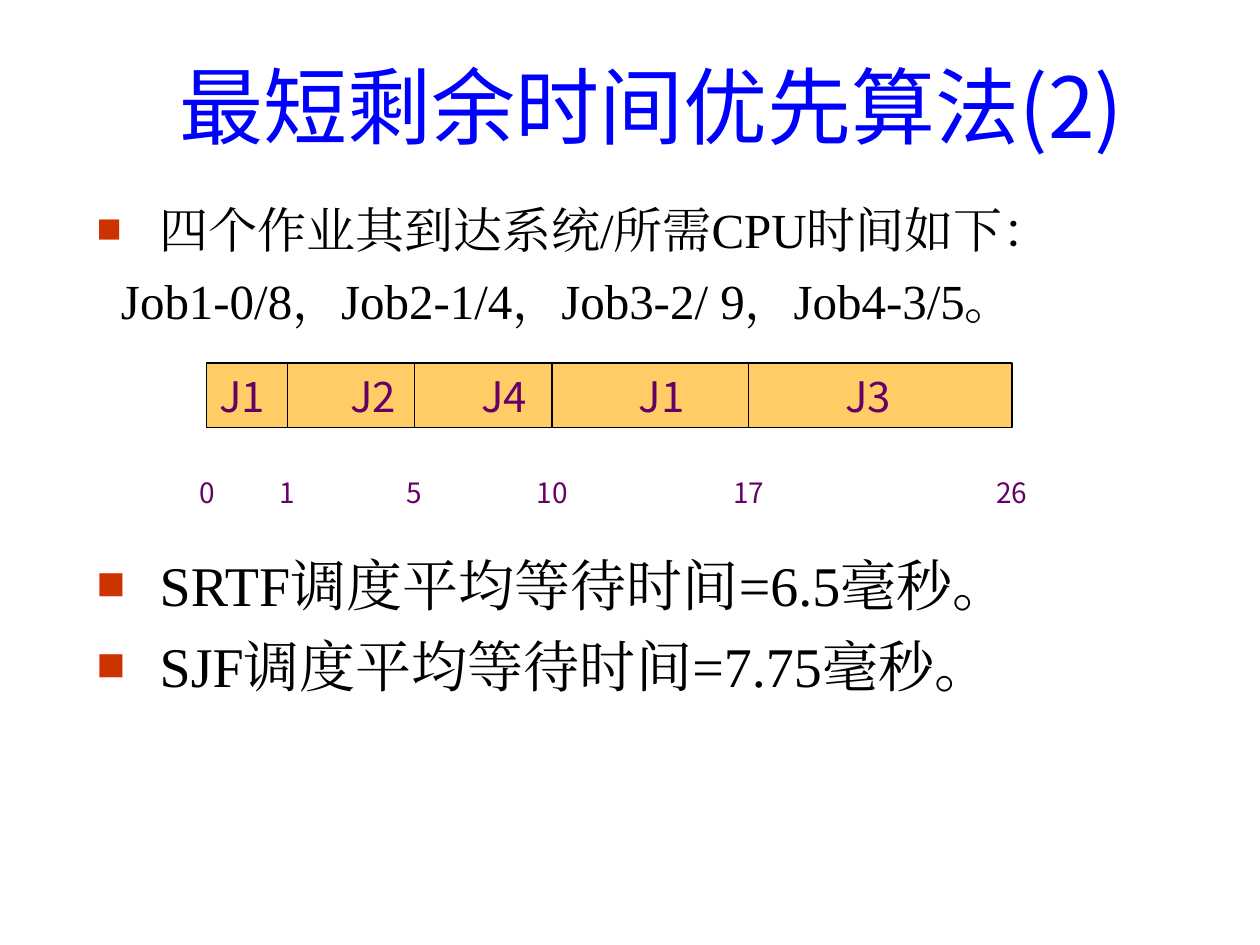
from lxml import etree
from pptx import Presentation
from pptx.dml.color import RGBColor
from pptx.enum.shapes import MSO_CONNECTOR, MSO_SHAPE
from pptx.enum.text import MSO_ANCHOR, PP_ALIGN
from pptx.oxml.ns import qn
from pptx.util import Cm, Pt

STRAIGHT = MSO_CONNECTOR.STRAIGHT
RECT = MSO_SHAPE.RECTANGLE
MIDDLE = MSO_ANCHOR.MIDDLE
LEFT, CENTER, JUSTIFY = PP_ALIGN.LEFT, PP_ALIGN.CENTER, PP_ALIGN.JUSTIFY

TITLE = "最短剩余时间优先算法(2)"
BODY = [
    ("四个作业其到达系统/所需CPU时间如下：", 28, 0, True),
    ("Job1-0/8，Job2-1/4，Job3-2/ 9，Job4-3/5。", 28, 7, False),
    ("SRTF调度平均等待时间=6.5毫秒。", 32, 126, True),
    ("SJF调度平均等待时间=7.75毫秒。", 32, 8, True),
]
JOBS = ["J1", "J2", "J4", "J1", "J3"]
JOB_TABS = [2.64, 5.28, 8.46, 12.62]
TIMES = [("0", 4.17), ("1", 5.79), ("5", 8.36), ("10", 11.13), ("17", 15.09), ("26", 20.4)]
BAR_TOP, BAR_H = 7.32, 1.3
TIME_TOP, TIME_W, TIME_H = 9.45, 1.2, 0.94

SANS, SERIF = "Noto Sans CJK JP", "Times New Roman"
COLORS = {"title": "0000FF", "text": "000000", "bullet": "CC3300",
          "bar": "FFCC66", "line": "000000", "label": "660066"}


def rgb(name):
    return RGBColor.from_string(COLORS[name])


def format_text(p, size, font, color, align):
    p.alignment = align
    for r in p.runs:
        r.font.size = Pt(size)
        r.font.name = font
        r.font.color.rgb = rgb(color)
        etree.SubElement(r.font._element, qn("a:ea"), typeface=font)


def set_indent(p, bullet):
    pPr = p._p.get_or_add_pPr()
    pPr.set("marL", str(Cm(1.27 if bullet else 0.49)))
    pPr.set("indent", str(Cm(-1.27 if bullet else 0)))
    if bullet:
        clr = etree.SubElement(pPr, qn("a:buClr"))
        etree.SubElement(clr, qn("a:srgbClr"), val=COLORS["bullet"])
        etree.SubElement(pPr, qn("a:buSzPct"), val="85000")
        etree.SubElement(pPr, qn("a:buFont"), typeface=SERIF)
        etree.SubElement(pPr, qn("a:buChar"), char="■")


def add_title(s):
    sp = s.shapes.title
    sp.left, sp.top, sp.width, sp.height = Cm(2.34), Cm(0.53), Cm(21.59), Cm(3.18)
    tf = sp.text_frame
    tf.text = TITLE
    tf.vertical_anchor = MIDDLE
    format_text(tf.paragraphs[0], 48, SANS, "title", CENTER)


def add_body(s):
    tf = s.shapes.add_textbox(Cm(1.7), Cm(3.9), Cm(22.23), Cm(13.13)).text_frame
    tf.word_wrap = True
    for i, (text, size, before, bullet) in enumerate(BODY):
        p = tf.add_paragraph() if i else tf.paragraphs[0]
        p.text = text
        format_text(p, size, SERIF, "text", JUSTIFY)
        p.space_before = Pt(before)
        set_indent(p, bullet)


def add_bar(s):
    start, end = TIMES[0][1], TIMES[-1][1]
    sp = s.shapes.add_shape(RECT, Cm(start), Cm(BAR_TOP), Cm(end - start), Cm(BAR_H))
    sp.shadow.inherit = False
    sp.fill.solid()
    sp.fill.fore_color.rgb = rgb("bar")
    sp.line.color.rgb = rgb("line")
    sp.line.width = Pt(0.75)
    tf = sp.text_frame
    tf.margin_top = tf.margin_bottom = 0
    tf.vertical_anchor = MIDDLE
    p = tf.paragraphs[0]
    p.text = "\t".join(JOBS)
    format_text(p, 24, SANS, "label", LEFT)
    tabs = etree.SubElement(p._p.get_or_add_pPr(), qn("a:tabLst"))
    for pos in JOB_TABS:
        etree.SubElement(tabs, qn("a:tab"), pos=str(Cm(pos)), algn="l")


def add_divider(s, x):
    line = s.shapes.add_connector(STRAIGHT, Cm(x), Cm(BAR_TOP), Cm(x), Cm(BAR_TOP + BAR_H))
    line.line.color.rgb = rgb("line")
    line.line.width = Pt(0.75)
    etree.SubElement(line._element.spPr, qn("a:effectLst"))


def add_time(s, text, x):
    tf = s.shapes.add_textbox(Cm(x - TIME_W / 2), Cm(TIME_TOP), Cm(TIME_W), Cm(TIME_H)).text_frame
    tf.margin_left = tf.margin_right = tf.margin_top = tf.margin_bottom = 0
    tf.vertical_anchor = MIDDLE
    tf.text = text
    format_text(tf.paragraphs[0], 16, SANS, "label", CENTER)


def main():
    prs = Presentation()
    prs.slide_width, prs.slide_height = Cm(25.4), Cm(19.05)
    s = prs.slides.add_slide(prs.slide_layouts[5])
    add_title(s)
    add_body(s)
    add_bar(s)
    for _, x in TIMES[1:-1]:
        add_divider(s, x)
    for text, x in TIMES:
        add_time(s, text, x)
    prs.save("out.pptx")


if __name__ == "__main__":
    main()
